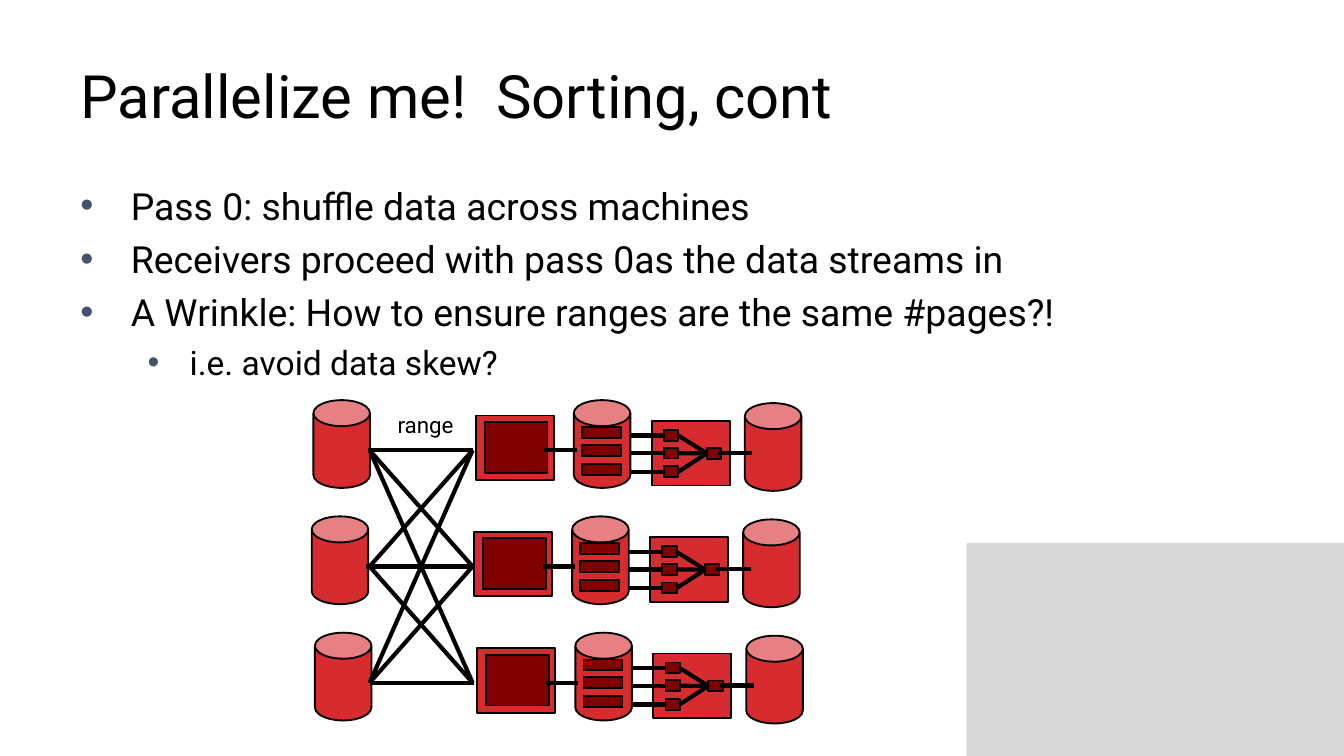
from itertools import permutations
from lxml import etree
from pptx import Presentation
from pptx.dml.color import RGBColor
from pptx.enum.shapes import MSO_CONNECTOR, MSO_SHAPE
from pptx.enum.text import MSO_ANCHOR, PP_ALIGN
from pptx.oxml.ns import qn
from pptx.util import Pt

RECT = MSO_SHAPE.RECTANGLE
CAN = MSO_SHAPE.CAN
LINE = MSO_CONNECTOR.STRAIGHT
MIDDLE = MSO_ANCHOR.MIDDLE
TOP = MSO_ANCHOR.TOP
LEFT = PP_ALIGN.LEFT

FONT = "Roboto"
COLORS = {
    "black": "000000",
    "red": "D72C2F",
    "dark": "800000",
    "gray": "D9D9D9",
    "bullet": "44516F",
}
ROWS = [(0, 0), (-0.9, 62.3), (0.8, 124.6)]
BULLETS = [
    ("Pass 0: shuffle data across machines", 0),
    ("Receivers proceed with pass 0as the data streams in", 0),
    ("A Wrinkle: How to ensure ranges are the same #pages?!", 0),
    ("i.e. avoid data skew?", 1),
]
LEVELS = [(20, 27, -27, 4.6), (18, 58.5, -22.5, 4.2)]


def color(name):
    return RGBColor.from_string(COLORS[name])


def add_box(slide, kind, x, y, w, h, fill, edge=True):
    box = slide.shapes.add_shape(kind, Pt(x), Pt(y), Pt(w), Pt(h))
    box.shadow.inherit = False
    box.fill.solid()
    box.fill.fore_color.rgb = color(fill)
    if edge:
        box.line.color.rgb = color("black")
        box.line.width = Pt(1)
    else:
        box.line.fill.background()
    return box


def add_disk(slide, x, y):
    disk = add_box(slide, CAN, x, y, 30.3, 47, "red")
    disk.adjustments[0] = 0.46


def add_line(slide, x1, y1, x2, y2):
    line = slide.shapes.add_connector(LINE, Pt(x1), Pt(y1), Pt(x2), Pt(y2))
    line.line.color.rgb = color("black")
    line.line.width = Pt(2.25)
    etree.SubElement(line._element.spPr, qn("a:effectLst"))


def style(para, size):
    para.alignment = LEFT
    for run in para.runs:
        run.font.name = FONT
        run.font.size = Pt(size)
        run.font.color.rgb = color("black")


def add_text(slide, x, y, w, h, text, size, anchor=TOP, wrap=True):
    box = slide.shapes.add_textbox(Pt(x), Pt(y), Pt(w), Pt(h))
    frame = box.text_frame
    frame.word_wrap = wrap
    frame.vertical_anchor = anchor
    frame.text = text
    for para in frame.paragraphs:
        style(para, size)
    return frame


def add_bullet(para, level):
    size, margin, indent, gap = LEVELS[level]
    para.level = level
    para.space_before = Pt(gap)
    style(para, size)
    props = para._p.get_or_add_pPr()
    props.set("marL", str(Pt(margin)))
    props.set("indent", str(Pt(indent)))
    tint = etree.SubElement(props, qn("a:buClr"))
    etree.SubElement(tint, qn("a:srgbClr"), val=COLORS["bullet"])
    etree.SubElement(props, qn("a:buFont"), typeface="Arial")
    etree.SubElement(props, qn("a:buChar"), char="\u2022")


def add_list(slide):
    text = "\n".join(item for item, _ in BULLETS)
    frame = add_text(slide, 36, 94.3, 648, 267, text, 20)
    for para, (_, level) in zip(frame.paragraphs, BULLETS):
        add_bullet(para, level)


def add_merge(slide, x, y):
    add_box(slide, RECT, x + 349.2, y + 225.5, 41.8, 34.7, "red")
    add_box(slide, RECT, x + 378.7, y + 240, 7.7, 5.8, "dark")
    for top in (230.3, 239.8, 249.8):
        add_box(slide, RECT, x + 355.7, y + top, 7.7, 5.8, "dark")
        mid = y + top + 3
        add_line(slide, x + 363.3, mid, x + 378.7, y + 242.9)
        add_line(slide, x + 355.7, mid, x + 335.5, mid)


def add_row(slide, x, y):
    add_disk(slide, x + 167.9, y + 214.4)
    add_line(slide, x + 197.2, y + 241.2, x + 253.2, y + 241.2)
    add_merge(slide, x, y)
    add_disk(slide, x + 399, y + 216)
    add_disk(slide, x + 307.4, y + 214.4)
    add_box(slide, RECT, x + 254.9, y + 222.6, 41.8, 34.6, "red")
    add_box(slide, RECT, x + 259.7, y + 226.1, 33.6, 27.3, "dark")
    add_line(slide, x + 403, y + 242.6, x + 384.7, y + 242.6)
    for top in (228.7, 238.3, 248.5):
        add_box(slide, RECT, x + 311.8, y + top, 20.9, 5.8, "dark")
    add_line(slide, x + 291.6, y + 241.2, x + 308.9, y + 241.2)


def main():
    deck = Presentation()
    deck.slide_width = Pt(720)
    deck.slide_height = Pt(405)
    slide = deck.slides.add_slide(deck.slide_layouts[6])
    add_box(slide, RECT, 517.7, 290.9, 202.3, 114.1, "gray", False)
    add_text(slide, 36, 16.6, 648, 67.7, "Parallelize me!  Sorting, cont", 32, MIDDLE)
    add_list(slide)
    for x, y in ROWS:
        add_row(slide, x, y)
    for (_, start), (_, end) in permutations(ROWS, 2):
        add_line(slide, 198, 241.2 + start, 253.2, 241.2 + end)
    add_text(slide, 205.9, 216.7, 45.4, 21.6, "range", 12, wrap=False)
    deck.save("out.pptx")


main()
